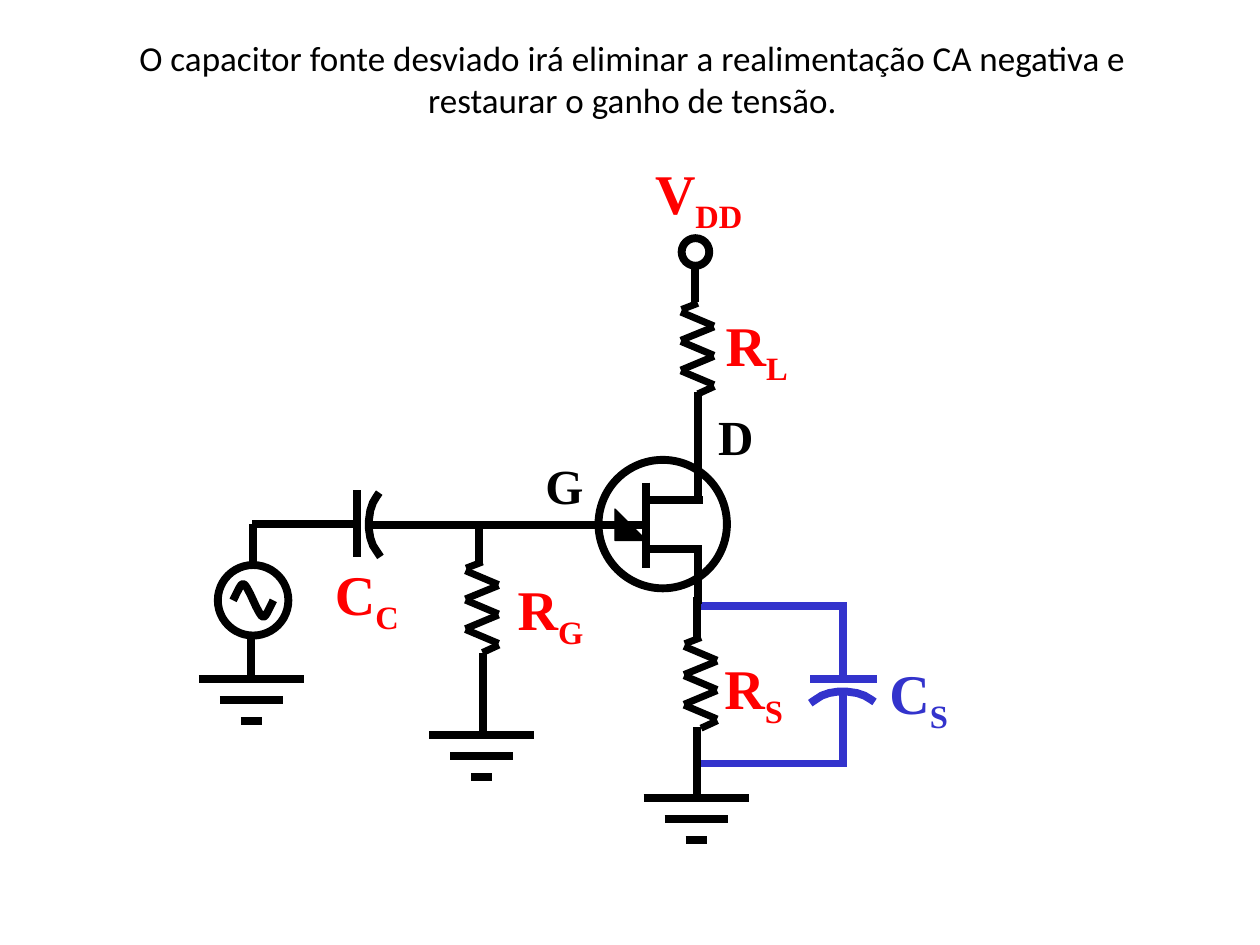
from lxml import etree
from pptx import Presentation
from pptx.dml.color import RGBColor
from pptx.enum.shapes import MSO_CONNECTOR, MSO_SHAPE
from pptx.enum.text import MSO_ANCHOR, MSO_AUTO_SIZE, PP_ALIGN
from pptx.oxml.ns import qn
from pptx.util import Pt

STRAIGHT = MSO_CONNECTOR.STRAIGHT
OVAL = MSO_SHAPE.OVAL
TRIANGLE = MSO_SHAPE.ISOSCELES_TRIANGLE
TOP = MSO_ANCHOR.TOP
CENTER = PP_ALIGN.CENTER
FIT_SHAPE = MSO_AUTO_SIZE.SHAPE_TO_FIT_TEXT
NO_FIT = MSO_AUTO_SIZE.NONE

COLORS = {"ink": "000000", "label": "FF0000", "bypass": "3333CC"}
PLATE = [(0, 0), (2.2, 1.5), (6.5, 4.3), (10.8, 5.8), (15.8, 6.6), (21, 6.6),
         (26.6, 5.8), (31, 4.3), (34.5, 2.2), (36.7, 0.7)]
HALF_WAVE = [(0, 0), (1.7, 3.7), (3.6, 7.2), (4.7, 8.8), (5.8, 9.4),
             (6.8, 8.9), (7.9, 7.2), (9.7, 3.7), (11.5, 0)]


class Circuit:
    """Draws circuit parts on the current page, with all lengths in points."""

    def __init__(self, page):
        self.page = page
        self.shapes = page.shapes
        self.weight = 4.5
        self.title_font = "Calibri"
        self.label_font = "Times New Roman"

    def color(self, name):
        return RGBColor.from_string(COLORS[name])

    def stroke(self, shape, color="ink", weight=None):
        shape.line.color.rgb = self.color(color)
        shape.line.width = Pt(weight or self.weight)

    def title(self, text, left, top, width, height):
        box = self.shapes.title
        box.left, box.top, box.width, box.height = map(Pt, (left, top, width, height))
        frame = box.text_frame
        frame.text = text
        frame.word_wrap = True
        frame.auto_size = NO_FIT
        frame.vertical_anchor = TOP
        para = frame.paragraphs[0]
        para.alignment = CENTER
        font = para.runs[0].font
        font.name, font.size = self.title_font, Pt(20)
        font.color.rgb = self.color("ink")

    def label(self, text, left, top, width, subscript="", color="label", size=32):
        box = self.shapes.add_textbox(Pt(left), Pt(top), Pt(width), Pt(size * 1.2 + 3.5))
        frame = box.text_frame
        frame.word_wrap = False
        frame.auto_size = FIT_SHAPE
        para = frame.paragraphs[0]
        para.text = text
        if subscript:
            span = para.add_run()
            span.text = subscript
            span.font._element.set("baseline", "-25000")
        for span in para.runs:
            span.font.name, span.font.size = self.label_font, Pt(size)
            span.font.bold = True
            span.font.color.rgb = self.color(color)

    def wire(self, x1, y1, x2, y2, color="ink", weight=None):
        line = self.shapes.add_connector(STRAIGHT, Pt(x1), Pt(y1), Pt(x2), Pt(y2))
        self.stroke(line, color, weight)
        etree.SubElement(line._element.spPr, qn("a:effectLst"))

    def circle(self, left, top, size):
        ring = self.shapes.add_shape(OVAL, Pt(left), Pt(top), Pt(size), Pt(size))
        ring.shadow.inherit = False
        ring.fill.background()
        self.stroke(ring)

    def gate_arrow(self, left, top, size):
        arrow = self.shapes.add_shape(TRIANGLE, Pt(left), Pt(top), Pt(size), Pt(size))
        arrow.adjustments[0] = 1
        arrow.rotation = 90
        arrow.shadow.inherit = False
        arrow.fill.solid()
        arrow.fill.fore_color.rgb = self.color("ink")
        self.stroke(arrow, weight=0.75)

    def curve(self, points, color="ink"):
        corners = [(Pt(x), Pt(y)) for x, y in points]
        builder = self.shapes.build_freeform(*corners[0])
        builder.add_line_segments(corners[1:], close=False)
        shape = builder.convert_to_shape()
        shape.shadow.inherit = False
        shape.fill.background()
        self.stroke(shape, color)

    def resistor(self, left, top):
        falling = [(0.3, 5 + 16.8 * i, 19.2, 13 + 16.8 * i) for i in range(3)]
        rising = [(0.3, 21.2 + 17 * i, 19.2, 13.5 + 16.8 * i) for i in range(2)]
        ends = [(0.7, 3.6, 10, 0), (10, 51.8, 19.4, 47.5)]
        for x1, y1, x2, y2 in falling + rising + ends:
            self.wire(left + x1, top + y1, left + x2, top + y2, weight=4)

    def ground(self, center, top):
        for row, half in enumerate((30, 18, 6)):
            y = top + 12 * row
            self.wire(center - half, y, center + half, y)

    def source(self, center, middle):
        self.circle(center - 20.2, middle - 20.2, 40.3)
        rise = [(center - x, middle - y) for x, y in reversed(HALF_WAVE)]
        fall = [(center + x, middle + y) for x, y in HALF_WAVE[1:]]
        self.curve(rise + fall)


def main():
    deck = Presentation()
    deck.slide_width, deck.slide_height = Pt(720), Pt(540)
    circuit = Circuit(deck.slides.add_slide(deck.slide_layouts[5]))

    circuit.title("O capacitor fonte desviado irá eliminar a realimentação CA "
                  "negativa e restaurar o ganho de tensão.", 46.8, 17.3, 629.3, 55.4)

    bypass_wires = [(398, 346.3, 484, 346.3), (399, 436.3, 484, 436.3),
                    (463, 388, 501, 388), (481.7, 435.6, 481.7, 396.7),
                    (481.7, 386.6, 481.7, 347.8)]
    for ends in bypass_wires:
        circuit.wire(*ends, color="bypass")
    circuit.curve([(463 + u, 401.8 - depth) for u, depth in PLATE], "bypass")

    circuit.circle(342, 262.8, 73.4)
    circuit.gate_arrow(351.4, 290.9, 18)
    transistor_wires = [(369.4, 275.8, 369.4, 324.7), (368.6, 300.2, 209.5, 300.2),
                        (370.8, 285.5, 401.8, 285.5), (370.1, 313.9, 401, 313.9),
                        (398.9, 344.9, 398.9, 313.9), (398.9, 284.4, 398.9, 223.9)]
    input_wires = [(203.8, 318.2, 203.8, 280.1), (203, 299.5, 144, 299.5),
                   (144.7, 299.5, 144.7, 321.1), (143.3, 364.3, 143.3, 386),
                   (273.6, 300.2, 273.6, 322.6), (275.8, 373, 275.8, 419)]
    supply_wires = [(397.4, 152.6, 397.4, 172.8), (398.2, 415.4, 398.2, 454.3),
                    (398.2, 341.3, 398.2, 365.8)]
    for ends in transistor_wires + input_wires + supply_wires:
        circuit.wire(*ends)

    circuit.curve([(217.4 - depth, 318.2 - u) for u, depth in PLATE])
    circuit.circle(389.5, 136.1, 15.8)
    circuit.source(144.7, 343.1)
    for left, top in [(265.7, 321.1), (388.8, 173.3), (390.6, 364.3)]:
        circuit.resistor(left, top)
    for center, top in [(143.6, 388.1), (275.4, 419.8), (397.8, 455.8)]:
        circuit.ground(center, top)

    circuit.label("V", 367.2, 87.1, 73.4, "DD")
    circuit.label("R", 407.5, 174.2, 56.9, "L")
    circuit.label("R", 288.7, 324.7, 54, "G")
    circuit.label("C", 184.3, 316.1, 53.3, "C")
    circuit.label("R", 406.8, 370.1, 49.7, "S")
    circuit.label("C", 501.1, 373, 49.7, "S", color="bypass")
    circuit.label("D", 403.2, 229, 34.6, color="ink", size=28)
    circuit.label("G", 304.6, 257, 36, color="ink", size=28)

    deck.save("out.pptx")


if __name__ == "__main__":
    main()
